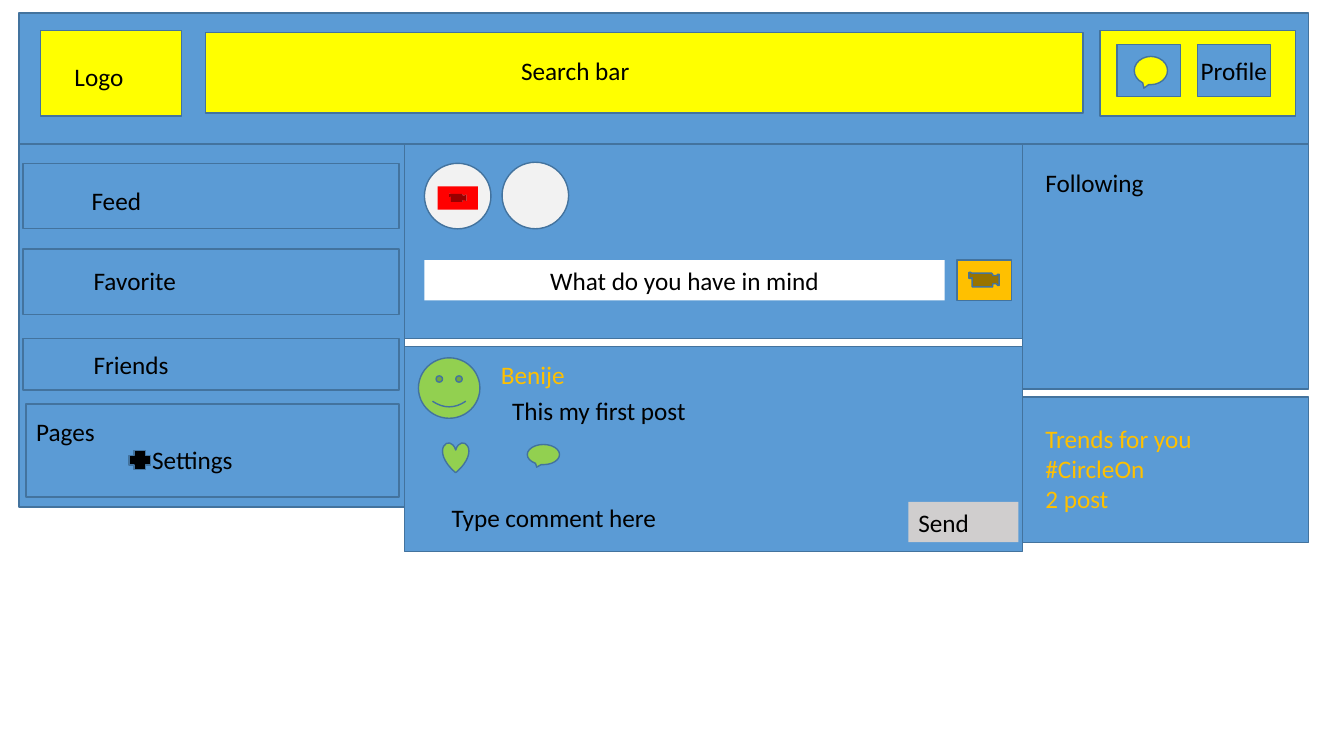
from pptx import Presentation
from pptx.dml.color import RGBColor
from pptx.enum.shapes import MSO_SHAPE
from pptx.enum.text import MSO_ANCHOR, PP_ALIGN
from pptx.util import Inches, Pt

RECTANGLE = MSO_SHAPE.RECTANGLE
OVAL = MSO_SHAPE.OVAL
SPEECH_BUBBLE = MSO_SHAPE.OVAL_CALLOUT
MOVIE_BUTTON = MSO_SHAPE.ACTION_BUTTON_MOVIE
SMILEY = MSO_SHAPE.SMILEY_FACE
HEART = MSO_SHAPE.HEART
CROSS = MSO_SHAPE.CROSS
LEFT, CENTER = PP_ALIGN.LEFT, PP_ALIGN.CENTER
TOP = MSO_ANCHOR.TOP

BLUE = RGBColor(0x5B, 0x9B, 0xD5)
OUTLINE = RGBColor(0x43, 0x73, 0x9E)
YELLOW = RGBColor(0xFF, 0xFF, 0x00)
ORANGE = RGBColor(0xFF, 0xC0, 0x00)
GREEN = RGBColor(0x92, 0xD0, 0x50)
RED = RGBColor(0xFF, 0x00, 0x00)
PALE_GRAY = RGBColor(0xF2, 0xF2, 0xF2)
GRAY = RGBColor(0xD0, 0xCE, 0xCE)
WHITE = RGBColor(0xFF, 0xFF, 0xFF)
BLACK = RGBColor(0x00, 0x00, 0x00)

TEXT_HEIGHT = 0.4


def write_text(shape, lines, color=BLACK, alignment=LEFT):
    frame = shape.text_frame
    frame.word_wrap = True
    frame.vertical_anchor = TOP
    frame.text = "\n".join(lines)
    for paragraph in frame.paragraphs:
        paragraph.alignment = alignment
        paragraph.font.name = "Calibri"
        paragraph.font.size = Pt(18)
        paragraph.font.color.rgb = color


def add_block(slide, left, top, width, height, fill=BLUE, kind=RECTANGLE, outlined=True):
    shape = slide.shapes.add_shape(
        kind, Inches(left), Inches(top), Inches(width), Inches(height))
    shape.shadow.inherit = False
    shape.fill.solid()
    shape.fill.fore_color.rgb = fill
    if outlined:
        shape.line.color.rgb = OUTLINE
        shape.line.width = Pt(1)
    else:
        shape.line.fill.background()
    return shape


def add_label(slide, left, top, width, *lines, color=BLACK, height=TEXT_HEIGHT):
    box = slide.shapes.add_textbox(
        Inches(left), Inches(top), Inches(width), Inches(height))
    write_text(box, lines, color)


def add_header(slide):
    add_block(slide, 0.19, 0.13, 12.79, 1.3)
    add_block(slide, 0.4, 0.3, 1.4, 0.85, YELLOW)
    add_block(slide, 2.04, 0.32, 8.7, 0.8, YELLOW)
    add_block(slide, 10.91, 0.3, 1.94, 0.85, YELLOW)
    add_block(slide, 11.08, 0.44, 0.63, 0.52)
    add_block(slide, 11.88, 0.44, 0.72, 0.52)
    add_block(slide, 11.25, 0.56, 0.33, 0.28, YELLOW, SPEECH_BUBBLE)
    add_label(slide, 0.64, 0.56, 0.69, "Logo")
    add_label(slide, 5.07, 0.5, 1.4, "Search bar")
    add_label(slide, 11.81, 0.5, 0.98, "Profile")


def add_menu(slide):
    add_block(slide, 0.19, 1.43, 3.82, 3.6)
    # Entry, row top, row height, text left, text top
    entries = [
        ("Feed", 1.62, 0.65, 0.81, 1.79),
        ("Favorite", 2.47, 0.65, 0.83, 2.58),
        ("Friends", 3.36, 0.51, 0.83, 3.42),
    ]
    for name, top, height, text_left, text_top in entries:
        add_block(slide, 0.23, top, 3.73, height)
        add_label(slide, text_left, text_top, 1.57, name)

    # Pages and settings
    add_block(slide, 0.26, 4.01, 3.7, 0.92)
    add_label(slide, 0.26, 4.08, 0.97, "Pages")
    add_label(slide, 1.41, 4.36, 1.27, "Settings")
    add_block(slide, 1.28, 4.47, 0.21, 0.19, BLACK, CROSS)


def add_composer(slide):
    add_block(slide, 4.01, 1.43, 6.13, 1.93)
    # Stories
    add_block(slide, 4.21, 1.62, 0.66, 0.65, PALE_GRAY, OVAL)
    add_block(slide, 4.98, 1.61, 0.66, 0.66, PALE_GRAY, OVAL)
    add_block(slide, 4.34, 1.85, 0.4, 0.23, RED, MOVIE_BUTTON, outlined=False)
    # Status field
    field = add_block(slide, 4.21, 2.58, 5.16, TEXT_HEIGHT, WHITE, outlined=False)
    write_text(field, ["What do you have in mind"], alignment=CENTER)
    add_block(slide, 9.49, 2.58, 0.54, TEXT_HEIGHT, ORANGE, MOVIE_BUTTON)


def add_side_panels(slide):
    add_block(slide, 10.14, 1.43, 2.84, 2.43)
    add_label(slide, 10.27, 1.61, 2.33, "Following")
    add_block(slide, 10.14, 3.94, 2.84, 1.44)
    add_label(slide, 10.27, 4.15, 2.58, "Trends for you", "#CircleOn", "2 post",
              color=ORANGE, height=1.01)


def add_post(slide):
    add_block(slide, 4.01, 3.44, 6.13, 2.03)
    add_block(slide, 4.15, 3.55, 0.61, 0.6, GREEN, SMILEY)
    add_label(slide, 4.87, 3.52, 0.97, "Benije", color=ORANGE)
    add_label(slide, 4.98, 3.87, 4.51, "This my first post")
    # Reactions
    add_block(slide, 4.39, 4.39, 0.26, 0.3, GREEN, HEART)
    add_block(slide, 5.23, 4.41, 0.32, 0.2, GREEN, SPEECH_BUBBLE)
    # Comment field
    add_label(slide, 4.38, 4.93, 4.12, "Type comment here")
    send_button = add_block(slide, 9.01, 4.98, 1.09, TEXT_HEIGHT, GRAY, outlined=False)
    write_text(send_button, ["Send"])


def main():
    presentation = Presentation()
    presentation.slide_width = Inches(13.33)
    presentation.slide_height = Inches(7.5)
    slide = presentation.slides.add_slide(presentation.slide_layouts[6])
    add_header(slide)
    add_menu(slide)
    add_composer(slide)
    add_side_panels(slide)
    add_post(slide)
    presentation.save("out.pptx")


if __name__ == "__main__":
    main()
